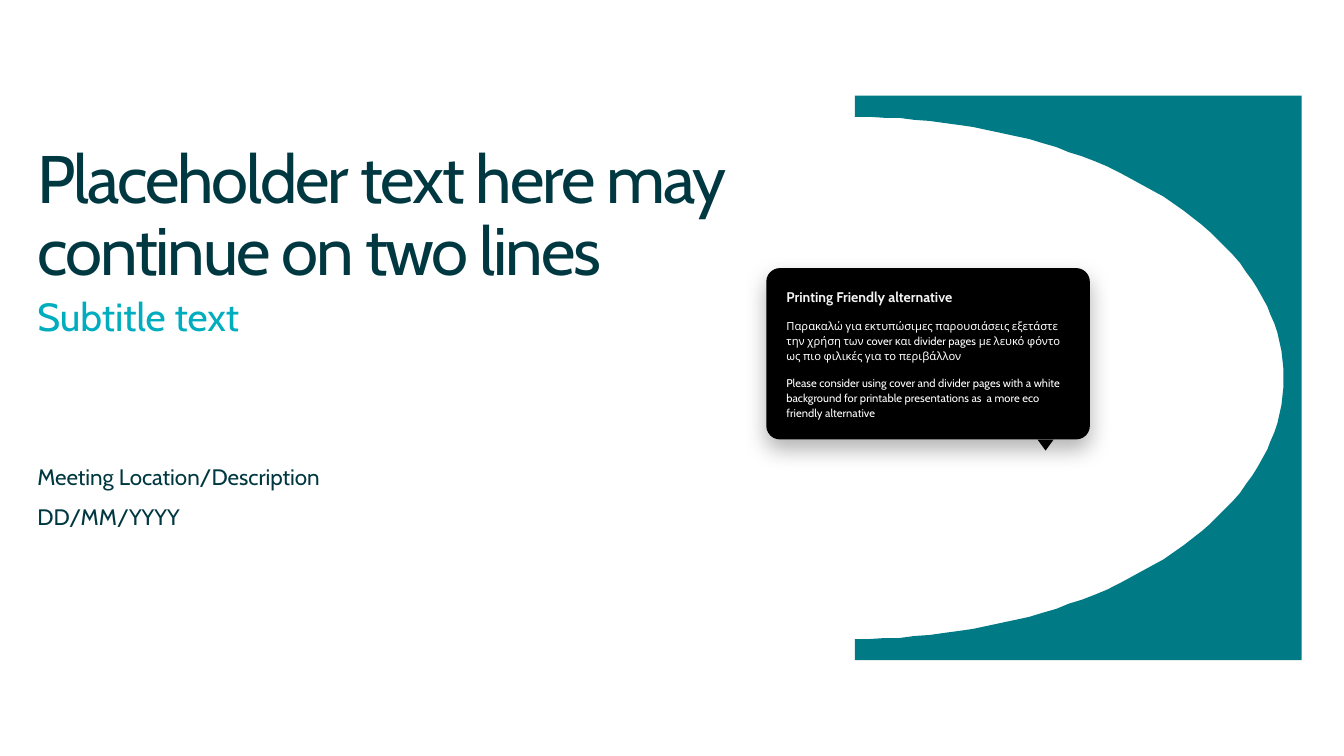
import math

from lxml import etree
from pptx import Presentation
from pptx.dml.color import RGBColor
from pptx.enum.shapes import MSO_SHAPE
from pptx.enum.text import MSO_ANCHOR, MSO_AUTO_SIZE, PP_ALIGN
from pptx.oxml.ns import qn
from pptx.util import Pt

EMU_PER_PX = 9144  # 100 px to the inch
FONT = "Cabin"
WHITE = RGBColor(0xFF, 0xFF, 0xFF)
PALE_GREY = RGBColor(0xF2, 0xF2, 0xF2)
BLACK = RGBColor(0x00, 0x00, 0x00)
TEAL = RGBColor(0x00, 0x7B, 0x85)
DARK_TEAL = RGBColor(0x00, 0x38, 0x41)
CYAN = RGBColor(0x00, 0xAD, 0xBF)

ROUNDED = MSO_SHAPE.ROUNDED_RECTANGLE
TRIANGLE = MSO_SHAPE.ISOSCELES_TRIANGLE
TOP, BOTTOM = MSO_ANCHOR.TOP, MSO_ANCHOR.BOTTOM
LEFT = PP_ALIGN.LEFT
NO_AUTOFIT = MSO_AUTO_SIZE.NONE

TEXT_LEFT, TEXT_WIDTH = 37, 786
ARCH_STEPS = 90


def px(value):
    return value * EMU_PER_PX


def set_frame(shape, side, vertical, anchor):
    """Set margins, wrapping and anchor of a shape's text."""
    frame = shape.text_frame
    frame.word_wrap = True
    frame.auto_size = NO_AUTOFIT
    frame.vertical_anchor = anchor
    frame.margin_left = frame.margin_right = px(side)
    frame.margin_top = frame.margin_bottom = px(vertical)
    return frame


def add_text(paragraph, text, size, color, line_spacing, bold=False):
    paragraph.alignment = LEFT
    paragraph.line_spacing = line_spacing
    paragraph.space_before = Pt(0)
    run = paragraph.add_run()
    run.text = text
    run.font.name = FONT
    run.font.size = Pt(size)
    run.font.bold = bold
    run.font.color.rgb = color
    return run


def fill_cover_text(shape, top, height, text, size, color):
    """Place a cover text in the left column and write it."""
    shape.left, shape.top = px(TEXT_LEFT), px(top)
    shape.width, shape.height = px(TEXT_WIDTH), px(height)
    frame = set_frame(shape, 0, 5, TOP)
    return add_text(frame.paragraphs[0], text, size, color, 0.9)


def paint(shape, color):
    shape.fill.solid()
    shape.fill.fore_color.rgb = color
    shape.line.fill.background()
    shape.shadow.inherit = False


def add_arch(slide):
    """Draw the teal panel with a half ellipse cut from its left side."""
    left, top, right, bottom = 848, 95, 1291, 655
    center, radius_x, radius_y = 375, 425, 259
    angles = [math.pi * (step / ARCH_STEPS - 0.5) for step in range(ARCH_STEPS + 1)]
    curve = [
        (left + radius_x * math.cos(angle), center + radius_y * math.sin(angle))
        for angle in angles
    ]
    builder = slide.shapes.build_freeform(left, top, scale=EMU_PER_PX)
    builder.add_line_segments(curve + [(left, bottom), (right, bottom), (right, top)])
    paint(builder.convert_to_shape(), TEAL)


def add_soft_shadow(shape):
    effects = shape._element.spPr.find(qn("a:effectLst"))
    shadow = etree.SubElement(
        effects, qn("a:outerShdw"), blurRad=str(Pt(16)), dist=str(Pt(7)),
        dir="5400000", algn="t", rotWithShape="0",
    )
    color = etree.SubElement(shadow, qn("a:srgbClr"), val=str(BLACK))
    etree.SubElement(color, qn("a:alpha"), val="30000")


def add_callout(slide, texts):
    group = slide.shapes.add_group_shape()
    bubble = group.shapes.add_shape(ROUNDED, px(760), px(266), px(321), px(170))
    bubble.adjustments[0] = 0.08
    paint(bubble, BLACK)
    add_soft_shadow(bubble)
    pointer = group.shapes.add_shape(TRIANGLE, px(1029), px(436), px(16), px(11))
    pointer.rotation = 180
    paint(pointer, BLACK)

    frame = set_frame(bubble, 16, 16, BOTTOM)
    for index, (text, size, color, bold) in enumerate(texts):
        paragraph = frame.add_paragraph() if index else frame.paragraphs[0]
        add_text(paragraph, text, size, color, 1.1, bold)
        if index:
            paragraph.space_before = Pt(9)


def main():
    presentation = Presentation()
    presentation.slide_width, presentation.slide_height = px(1333), px(750)
    slide = presentation.slides.add_slide(presentation.slide_layouts[0])

    add_arch(slide)
    title = fill_cover_text(
        slide.shapes.title, 139, 156,
        "Placeholder text here may continue on two lines", 48, DARK_TEAL,
    )
    title._r.get_or_add_rPr().set("spc", "-150")
    fill_cover_text(slide.placeholders[1], 290, 144, "Subtitle text", 28, CYAN)
    for top, text in ((458, "Meeting Location/Description"), (497, "DD/MM/YYYY")):
        box = slide.shapes.add_textbox(0, 0, 0, 0)
        fill_cover_text(box, top, 34, text, 16, DARK_TEAL)

    add_callout(slide, [
        ("Printing Friendly alternative", 10, PALE_GREY, True),
        ("Παρακαλώ για εκτυπώσιμες παρουσιάσεις εξετάστε την χρήση των cover "
         "και divider pages με λευκό φόντο ως πιο φιλικές για το περιβάλλον",
         8, WHITE, False),
        ("Please consider using cover and divider pages with a white background "
         "for printable presentations as  a more eco friendly alternative",
         8, WHITE, False),
    ])
    presentation.save("out.pptx")


if __name__ == "__main__":
    main()
